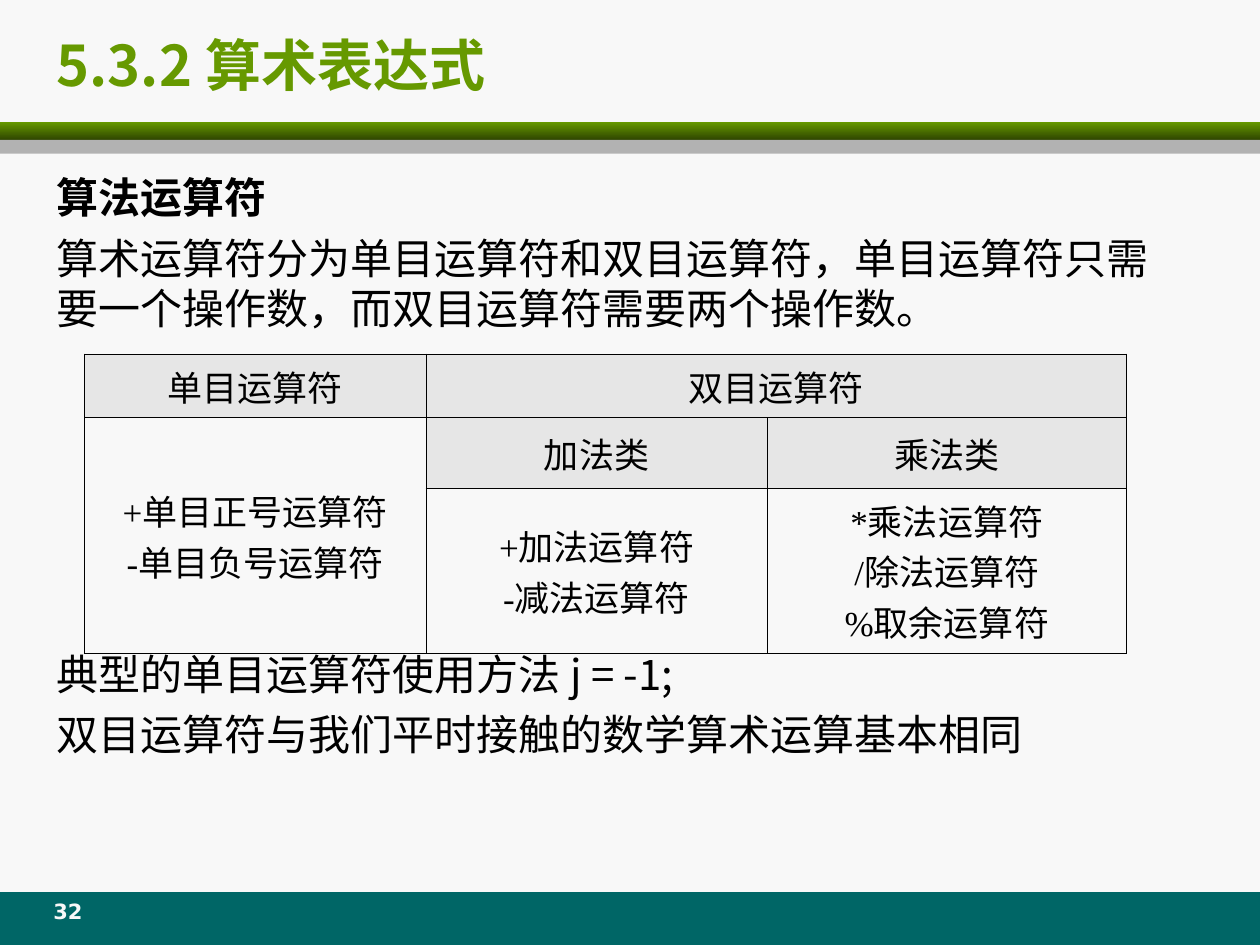
import pptx
import pptx.util
import pptx.dml.color
import pptx.enum.shapes
import pptx.enum.text
import pptx.oxml.ns
import lxml.etree

Inches, Pt = pptx.util.Inches, pptx.util.Pt
RGBColor = pptx.dml.color.RGBColor
ALIGN = pptx.enum.text.PP_ALIGN
ANCHOR = pptx.enum.text.MSO_ANCHOR

BACKGROUND = RGBColor(0xF8, 0xF8, 0xF8)
GREEN = RGBColor(0x66, 0x99, 0x00)
DARK_GREEN = RGBColor(0x2F, 0x46, 0x00)
TEAL = RGBColor(0x00, 0x66, 0x66)
GREY = RGBColor(0xB2, 0xB2, 0xB2)
HEADER_GREY = RGBColor(0xE6, 0xE6, 0xE6)
BLACK = RGBColor(0, 0, 0)

CJK_FONT = "Noto Sans CJK SC"
# Text, bold, space before in points
BODY = [
    ("算法运算符", True, 0),
    ("算术运算符分为单目运算符和双目运算符，单目运算符只需要一个操作数，而双目运算符需要两个操作数。", False, 6),
    ("典型的单目运算符使用方法 j = -1;", False, 180),  # leaves room for the table
    ("双目运算符与我们平时接触的数学算术运算基本相同", False, 6),
]
# Row, column, text, header cell
CELLS = [
    (0, 0, "单目运算符", True),
    (0, 1, "双目运算符", True),
    (1, 0, "+单目正号运算符\n-单目负号运算符", False),
    (1, 1, "加法类", True),
    (1, 2, "乘法类", True),
    (2, 1, "+加法运算符\n-减法运算符", False),
    (2, 2, "*乘法运算符\n/除法运算符\n%取余运算符", False),
]


def add_element(parent, tag, **attributes):
    return lxml.etree.SubElement(parent, pptx.oxml.ns.qn(tag), **attributes)


def place(shape, left, top, width, height):
    shape.left, shape.top = Inches(left), Inches(top)
    shape.width, shape.height = Inches(width), Inches(height)


def format_runs(para, size, font_name, color, bold=False):
    for span in para.runs:
        span.font.size = Pt(size)
        span.font.name = font_name
        span.font.bold = bold
        span.font.color.rgb = color
        # East Asian glyphs always use the CJK face
        add_element(span.font._element, "a:ea", typeface=CJK_FONT)


def add_band(page, top, height, color, end_color=None):
    band = page.shapes.add_shape(pptx.enum.shapes.MSO_SHAPE.RECTANGLE,
                                 0, Inches(top), Inches(10), Inches(height))
    band.shadow.inherit = False
    band.line.fill.background()
    if end_color is None:
        band.fill.solid()
        band.fill.fore_color.rgb = color
    else:
        band.fill.gradient()
        band.fill.gradient_angle = 270
        for stop, stop_color in zip(band.fill.gradient_stops, (color, end_color)):
            stop.color.rgb = stop_color


def fill_title(title):
    place(title, 0.35, 0.21, 8.72, 0.59)
    title.text_frame.text = "5.3.2 算术表达式"
    title.text_frame.vertical_anchor = ANCHOR.MIDDLE
    para = title.text_frame.paragraphs[0]
    para.alignment = ALIGN.LEFT
    format_runs(para, 32, CJK_FONT, GREEN, True)


def fill_body(body):
    place(body, 0.35, 1.31, 9.06, 5.69)
    frame = body.text_frame
    frame.text = "\n".join(text for text, _, _ in BODY)
    for para, (_, bold, space) in zip(frame.paragraphs, BODY):
        properties = para._p.get_or_add_pPr()
        properties.set("marL", "0")
        properties.set("indent", "0")
        add_element(properties, "a:buNone")
        para.space_before = Pt(space)
        format_runs(para, 24, CJK_FONT, BLACK, bold)


def add_cell_borders(cell):
    properties = cell._tc.get_or_add_tcPr()
    for position, side in enumerate(("a:lnL", "a:lnR", "a:lnT", "a:lnB")):
        line = lxml.etree.Element(pptx.oxml.ns.qn(side), w=str(Pt(0.45)))
        fill = add_element(line, "a:solidFill")
        add_element(fill, "a:srgbClr", val=str(BLACK))
        properties.insert(position, line)


def add_operator_table(page):
    table = page.shapes.add_table(3, 3, Inches(0.67), Inches(2.81),
                                  Inches(8.27), Inches(2.13)).table
    for column, width in zip(table.columns, (2.71, 2.71, 2.85)):
        column.width = Inches(width)
    for row, height in zip(table.rows, (0.47, 0.56, 1.1)):
        row.height = Inches(height)
    table.cell(0, 1).merge(table.cell(0, 2))
    table.cell(1, 0).merge(table.cell(2, 0))
    for cell in table.iter_cells():
        cell.fill.background()
        add_cell_borders(cell)
    for row, column, text, is_header in CELLS:
        cell = table.cell(row, column)
        cell.text_frame.text = text
        cell.vertical_anchor = ANCHOR.MIDDLE
        if is_header:
            cell.fill.solid()
            cell.fill.fore_color.rgb = HEADER_GREY
        for para in cell.text_frame.paragraphs:
            para.alignment = ALIGN.CENTER
            properties = para._p.get_or_add_pPr()
            properties.set("marL", str(Inches(0.38)))
            properties.set("indent", str(Inches(-0.38)))
            format_runs(para, 20, "Times New Roman", BLACK)


def add_page_number(page):
    box = page.shapes.add_textbox(Inches(0.25), Inches(7.08), Inches(0.58), Inches(0.33))
    box.text_frame.word_wrap = True
    box.text_frame.text = "32"
    para = box.text_frame.paragraphs[0]
    para.alignment = ALIGN.CENTER
    format_runs(para, 12, "DejaVu Sans", BACKGROUND, True)


def main():
    deck = pptx.Presentation()
    deck.slide_width, deck.slide_height = Inches(10), Inches(7.5)
    page = deck.slides.add_slide(deck.slide_layouts[1])
    page.background.fill.solid()
    page.background.fill.fore_color.rgb = BACKGROUND

    # Footer bar and the two rules under the title
    add_band(page, 7.08, 0.42, TEAL)
    add_band(page, 0.97, 0.14, GREEN, DARK_GREEN)
    add_band(page, 1.11, 0.11, GREY)

    # Text and table
    fill_title(page.shapes.title)
    fill_body(page.placeholders[1])
    add_operator_table(page)
    add_page_number(page)
    deck.save("out.pptx")


if __name__ == "__main__":
    main()
